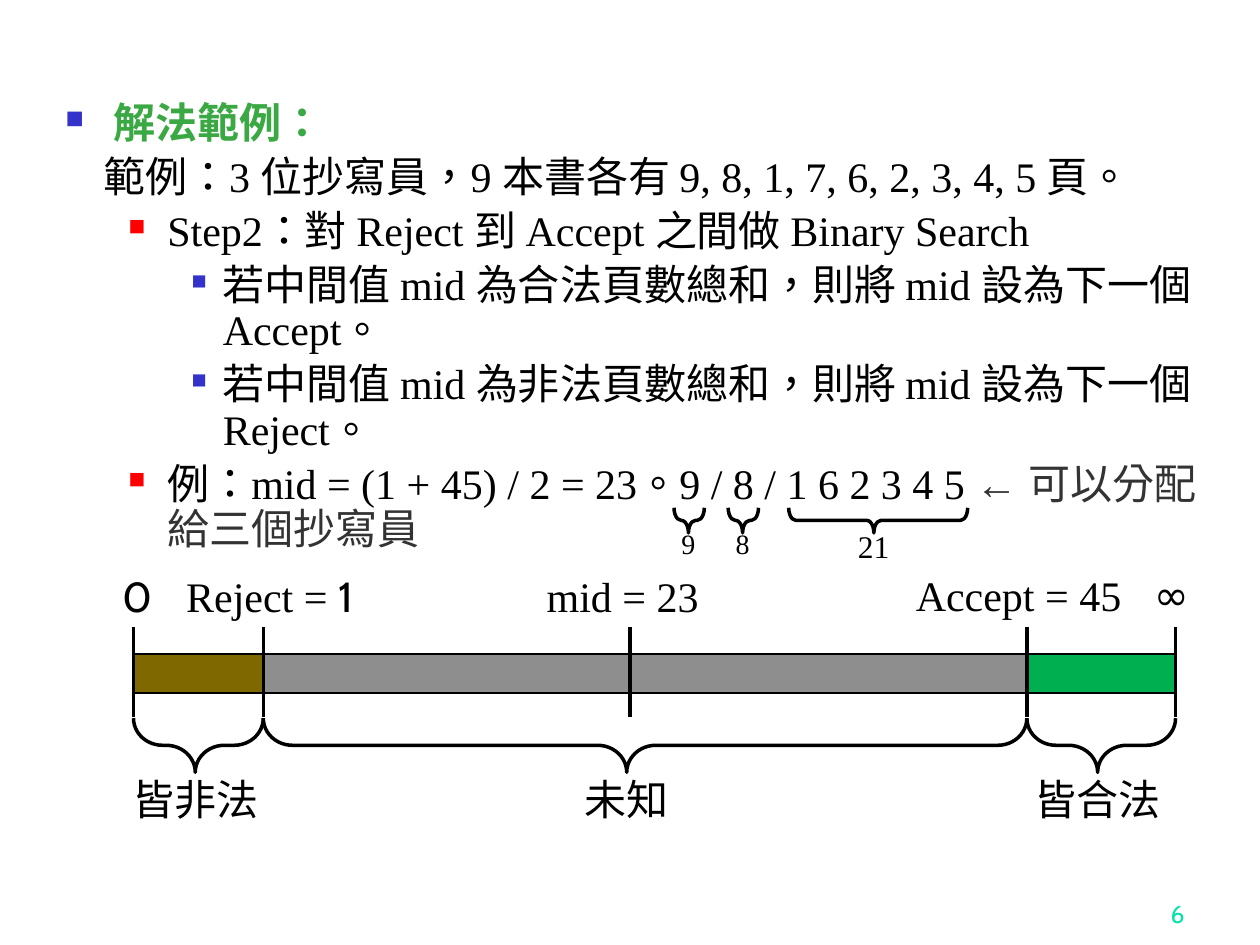
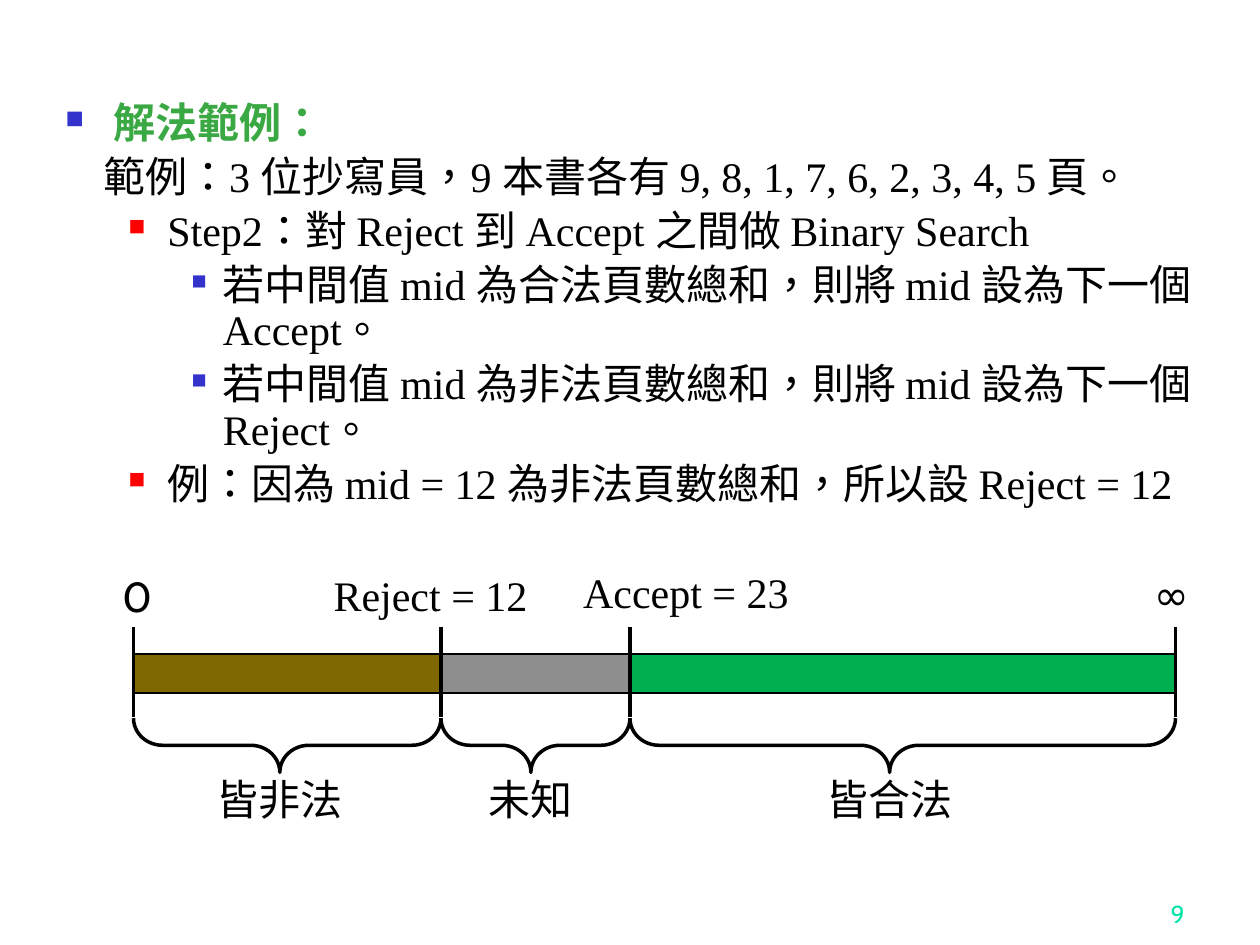
from lxml.etree import SubElement
from pptx import Presentation
from pptx.dml.color import RGBColor
from pptx.enum.shapes import MSO_CONNECTOR, MSO_SHAPE
from pptx.enum.text import MSO_ANCHOR, PP_ALIGN
from pptx.oxml.ns import qn
from pptx.util import Inches, Pt

LATIN, ROUNDED, CHINESE = "Times New Roman", "Cabin", "Noto Sans CJK SC"
BLACK, GREEN, GRAY, NUMBER_COLOR = "000000", "3BA943", "333333", "00E4A8"
BLUE_BULLET, RED_BULLET = "3333CC", "FF0000"
SEGMENT_COLORS = ["806800", "8E8E8E", "00B050"]
SEGMENT_NAMES = ["皆非法", "未知", "皆合法"]
BRACE_TIP = 0.476
LEVELS = {
    "heading": (0.38, -0.38, BLUE_BULLET, 60),
    "plain": (0.3, 0, None, 0),
    "step": (0.81, -0.31, RED_BULLET, 55),
    "detail": (1.25, -0.25, BLUE_BULLET, 50),
}
SHARED_LINES = [
    ("heading", [("解法範例：", GREEN)]),
    ("plain", [("範例：3 位抄寫員，9 本書各有 9, 8, 1, 7, 6, 2, 3, 4, 5 頁。", BLACK)]),
    ("step", [("Step2：對 Reject 到 Accept 之間做 Binary Search", BLACK)]),
    ("detail", [("若中間值 mid 為合法頁數總和，則將 mid 設為下一個 Accept。", BLACK)]),
    ("detail", [("若中間值 mid 為非法頁數總和，則將 mid 設為下一個 Reject。", BLACK)]),
]
SLIDES = [
    {
        "number": "6",
        "body_width": 9.23,
        "example": [("例：mid = (1 + 45) / 2 = 23。9 / 8 / 1 6 2 3 4 5 ", BLACK),
                    ("← 可以分配給三個抄寫員", GRAY)],
        "bounds": [1.06, 2.09, 8.15, 9.33],
        "ticks": [1.06, 2.09, 5, 8.15, 9.33],
        "labels": [(1.38, 4.48, [("Reject = ", LATIN), ("1", ROUNDED)]),
                   (4.24, 4.48, [("mid = 23", LATIN)]),
                   (7.17, 4.47, [("Accept = 45", LATIN)])],
        "page_sums": [("9", 16, 5.35, 5.59, 5.31), ("8", 16, 5.78, 6.02, 5.74),
                      ("21", 18, 6.26, 7.68, 6.71)],
    },
    {
        "number": "9",
        "body_width": 9.15,
        "example": [("例：因為 mid = 12 為非法頁數總和，所以設 Reject = 12", BLACK)],
        "bounds": [1.06, 3.5, 5, 9.33],
        "ticks": [1.06, 3.5, 5, 9.33],
        "labels": [(2.55, 4.47, [("Reject = 12", LATIN)]),
                   (4.53, 4.45, [("Accept = 23", LATIN)])],
        "page_sums": [],
    },
]


def color(value):
    return RGBColor.from_string(value)


def add_text(slide, left, top, width, height, lines, alignment=PP_ALIGN.LEFT):
    box = slide.shapes.add_textbox(Inches(left), Inches(top), Inches(width), Inches(height))
    box.text_frame.word_wrap = True
    for index, runs in enumerate(lines):
        paragraph = box.text_frame.paragraphs[0] if index == 0 else box.text_frame.add_paragraph()
        paragraph.alignment = alignment
        for text, font_name, size, text_color in runs:
            run = paragraph.add_run()
            run.text = text
            run.font.size = Pt(size)
            run.font.color.rgb = color(text_color)
            run.font.name = font_name
            properties = run._r.get_or_add_rPr()
            properties.set("lang", "zh-TW")
            SubElement(properties, qn("a:ea")).set("typeface", CHINESE)
    return box


presentation = Presentation()
presentation.slide_width = Inches(10)
presentation.slide_height = Inches(7.5)

for content in SLIDES:
    slide = presentation.slides.add_slide(presentation.slide_layouts[6])
    number_box = add_text(slide, 7.42, 6.92, 2.08, 0.5,
                          [[(content["number"], ROUNDED, 14, NUMBER_COLOR)]], PP_ALIGN.RIGHT)
    number_box.text_frame.vertical_anchor = MSO_ANCHOR.BOTTOM

    body_lines = SHARED_LINES + [("step", content["example"])]
    body = add_text(slide, 0.42, 0.76, content["body_width"], 6.15,
                    [[(text, LATIN, 24, text_color) for text, text_color in runs]
                     for level, runs in body_lines])
    for index, paragraph in enumerate(body.text_frame.paragraphs):
        level = body_lines[index][0]
        margin, indent, bullet_color, bullet_size = LEVELS[level]
        paragraph.line_spacing = 0.9
        paragraph.space_before = Pt(5 if index else 0)
        properties = paragraph._p.get_or_add_pPr()
        properties.set("marL", str(Inches(margin)))
        properties.set("indent", str(Inches(indent)))
        if bullet_color:
            bullet_fill = SubElement(properties, qn("a:buClr"))
            SubElement(bullet_fill, qn("a:srgbClr")).set("val", bullet_color)
            SubElement(properties, qn("a:buSzPct")).set("val", str(bullet_size * 1000))
            SubElement(properties, qn("a:buChar")).set("char", "■")
        for run in paragraph.runs:
            run.font.bold = level == "heading"

    bounds = content["bounds"]
    segments = list(zip(bounds, bounds[1:]))
    for (left, right), fill in zip(segments, SEGMENT_COLORS):
        bar = slide.shapes.add_shape(MSO_SHAPE.RECTANGLE, Inches(left), Inches(5.19),
                                     Inches(right - left), Inches(0.31))
        bar.shadow.inherit = False
        bar.fill.solid()
        bar.fill.fore_color.rgb = color(fill)
        bar.line.color.rgb = color(BLACK)
        bar.line.width = Pt(0.75)

    for position in content["ticks"]:
        tick = slide.shapes.add_connector(MSO_CONNECTOR.STRAIGHT, Inches(position), Inches(4.98),
                                          Inches(position), Inches(5.69))
        tick.line.color.rgb = color(BLACK)
        tick.line.width = Pt(2)
        SubElement(tick._element.spPr, qn("a:effectLst"))

    braces = [(left, right, 5.7, 0.43, 0.537) for left, right in segments]
    braces += [(left, right, 4.03, 0.2, 0.279)
               for text, size, left, right, text_left in content["page_sums"]]
    for left, right, top, depth, curve in braces:
        span = right - left
        brace = slide.shapes.add_shape(MSO_SHAPE.LEFT_BRACE,
                                       Inches((left + right - depth) / 2),
                                       Inches(top + (depth - span) / 2),
                                       Inches(depth), Inches(span))
        brace.rotation = 270
        brace.adjustments[0] = curve
        brace.adjustments[1] = BRACE_TIP
        brace.shadow.inherit = False
        brace.fill.background()
        brace.line.color.rgb = color(BLACK)
        brace.line.width = Pt(2)

    for (left, right), name in zip(segments, SEGMENT_NAMES):
        tip = left + BRACE_TIP * (right - left)
        add_text(slide, tip - 0.62, 6.09, 1.24, 0.5, [[(name, CHINESE, 24, BLACK)]],
                 PP_ALIGN.CENTER)

    for left, top, text in [(0.87, 4.48, "0"), (9.06, 4.46, "∞")]:
        add_text(slide, left, top, 0.35, 0.5, [[(text, ROUNDED, 24, BLACK)]])
    for left, top, runs in content["labels"]:
        add_text(slide, left, top, 1.97, 0.5,
                 [[(text, font_name, 24, BLACK) for text, font_name in runs]])
    for text, size, left, right, text_left in content["page_sums"]:
        add_text(slide, text_left, 4.13, 0.48, 0.4, [[(text, LATIN, size, BLACK)]])

presentation.save("out.pptx")
